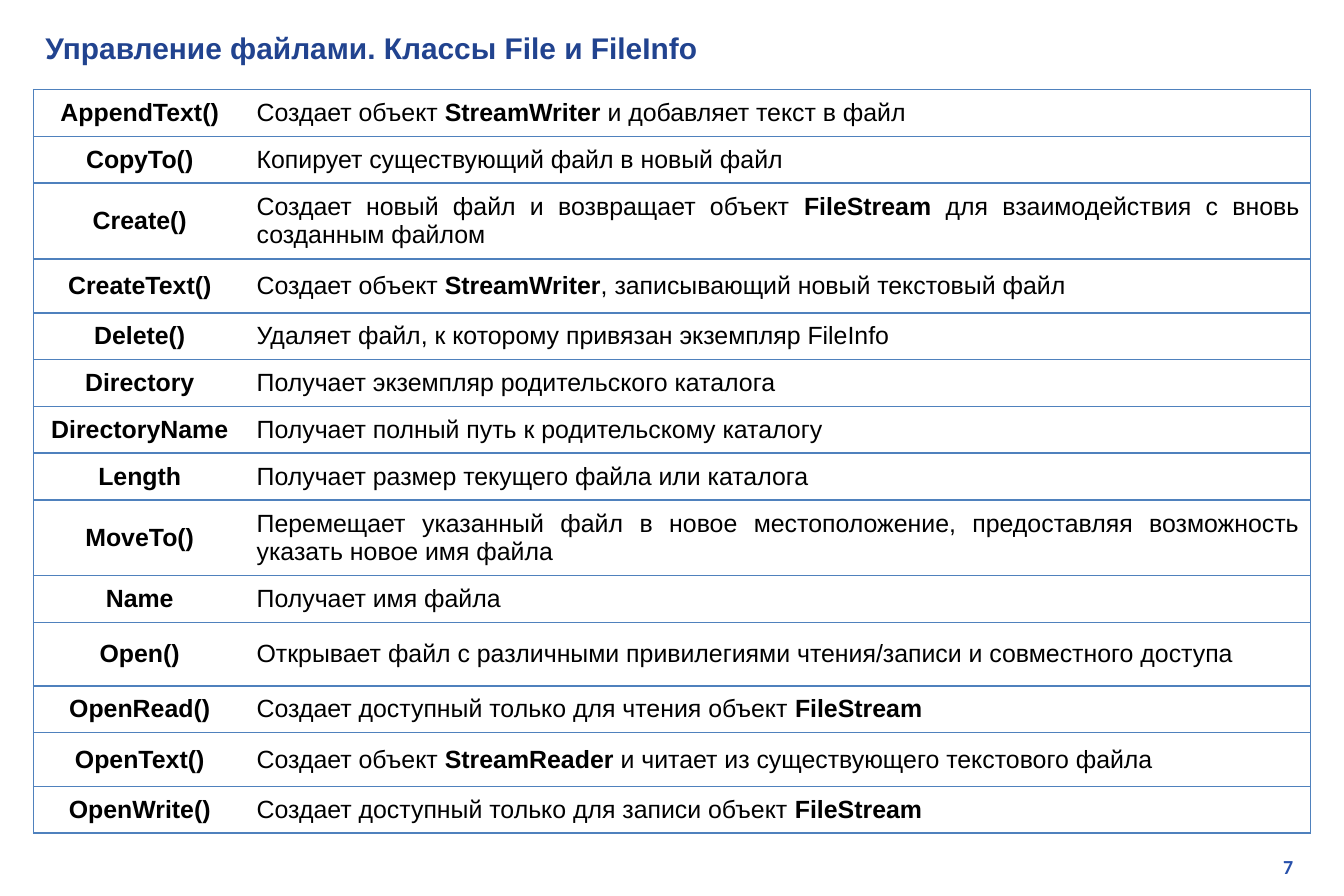
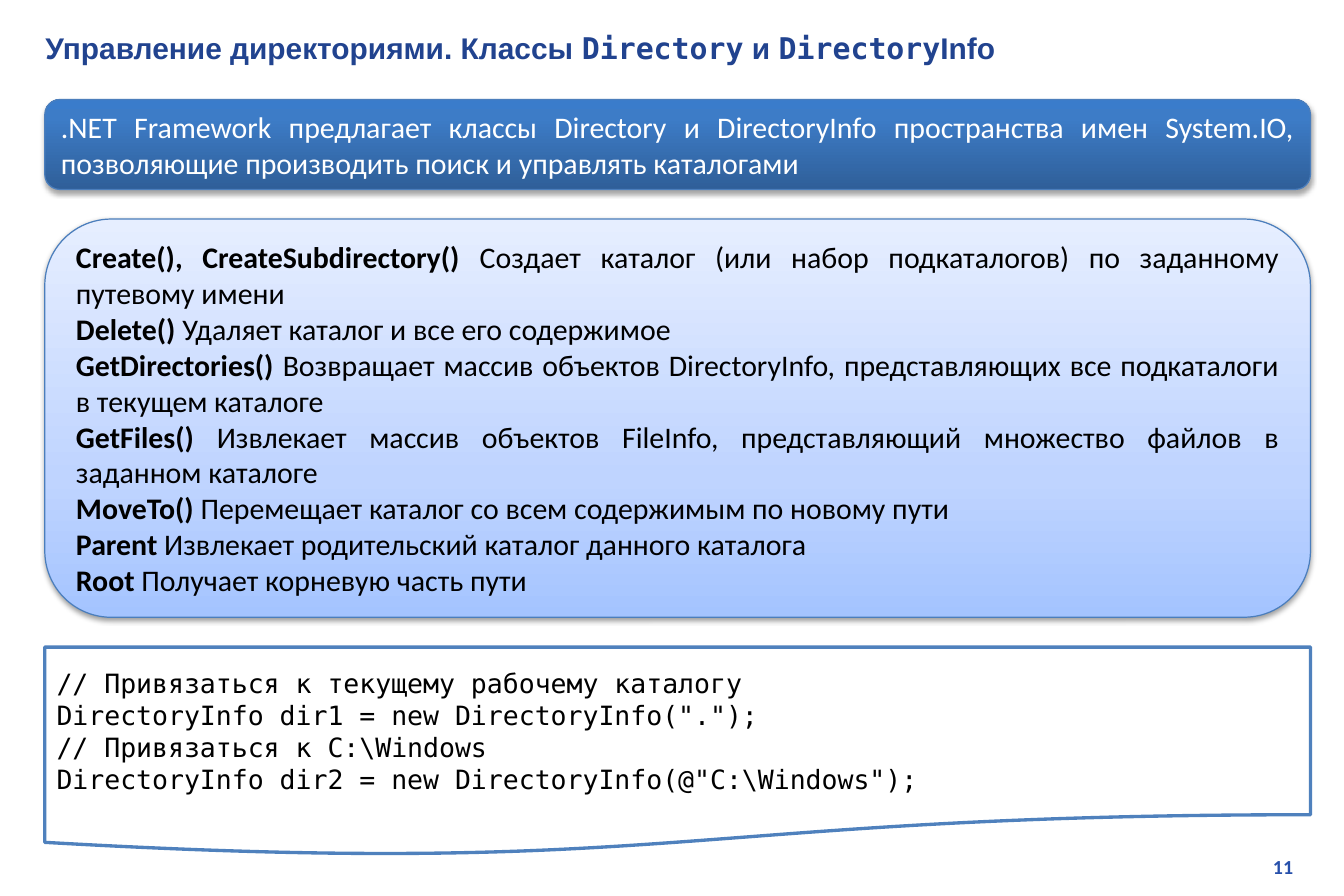
from pptx import Presentation
from pptx.dml.color import RGBColor
from pptx.enum.shapes import MSO_SHAPE
from pptx.enum.text import MSO_ANCHOR, PP_ALIGN
from pptx.oxml import parse_xml
from pptx.oxml.ns import nsdecls, qn
from pptx.util import Pt

TITLE_BLUE = RGBColor(0x21, 0x43, 0x8F)
NUMBER_BLUE = RGBColor(0x27, 0x50, 0xAB)
BORDER_BLUE = RGBColor(0x4F, 0x81, 0xBD)
EDGE_BLUE = RGBColor(0x4B, 0x7E, 0xBC)
BLACK = RGBColor(0, 0, 0)
WHITE = RGBColor(0xFF, 0xFF, 0xFF)
DARK_GRADIENT = [(0, RGBColor(0x2F, 0x5F, 0x99)), (80, RGBColor(0x3D, 0x7C, 0xC7)),
                 (100, RGBColor(0x3A, 0x7C, 0xCB))]
LIGHT_GRADIENT = [(0, RGBColor(0xA4, 0xC4, 0xFF)), (35, RGBColor(0xBF, 0xD4, 0xFF)),
                  (100, RGBColor(0xE6, 0xEE, 0xFF))]

MONO = "DejaVu Sans Mono"
TITLE_FONT = {"name": "Arial", "size": Pt(18), "bold": True, "color": TITLE_BLUE}
NUMBER_FONT = {"name": "Calibri", "size": Pt(12), "bold": True, "color": NUMBER_BLUE}
TABLE_FONT = {"name": "Arial", "size": Pt(15), "bold": False, "color": BLACK}
BANNER_FONT = {"name": "Calibri", "size": Pt(18), "bold": False, "color": WHITE}
LIST_FONT = {**BANNER_FONT, "color": BLACK}
CODE_FONT = {"name": MONO, "size": Pt(16), "bold": False, "color": BLACK}

# Boxes are left, top, width, height in points
PAGE_SIZE = (810, 540)
TITLE_BOX = (20.2, 14.4, 773.3, 28.8)
NUMBER_BOX = (615, 511.6, 171.4, 21.6)
TABLE_BOX = (20.2, 54, 769.7, 448.4)
BANNER_BOX = (27, 60, 762.8, 54.2)
LIST_BOX = (27, 132, 762.8, 240)
CODE_BOX = (27, 390, 762.8, 126)

NAME_COLUMN = 128
ROW_HEIGHT = 28.2
NO_STYLE = "{2D5ABB26-0587-4C30-8999-92F81FD0307C}"

# Name, description (bold between asterisks), row height
FILE_MEMBERS = [
    ("AppendText()", "Создает объект *StreamWriter* и добавляет текст в файл", ROW_HEIGHT),
    ("СоруТо()", "Копирует существующий файл в новый файл", ROW_HEIGHT),
    ("Create()", "Создает новый файл и возвращает объект *FileStream* для "
     "взаимодействия с вновь созданным файлом", 45.8),
    ("CreateText()", "Создает объект *StreamWriter*, записывающий новый текстовый файл", 32.4),
    ("Delete()", "Удаляет файл, к которому привязан экземпляр FileInfo", ROW_HEIGHT),
    ("Directory", "Получает экземпляр родительского каталога", ROW_HEIGHT),
    ("DirectoryName", "Получает полный путь к родительскому каталогу", ROW_HEIGHT),
    ("Length", "Получает размер текущего файла или каталога", ROW_HEIGHT),
    ("MoveTo()", "Перемещает указанный файл в новое местоположение, предоставляя "
     "возможность указать новое имя файла", 45.8),
    ("Name", "Получает имя файла", ROW_HEIGHT),
    ("Open()", "Открывает файл с различными привилегиями чтения/записи и "
     "совместного доступа", 38.2),
    ("OpenRead()", "Создает доступный только для чтения объект *FileStream*", ROW_HEIGHT),
    ("OpenText()", "Создает объект *StreamReader* и читает из существующего "
     "текстового файла", 32.4),
    ("OpenWrite()", "Создает доступный только для записи объект *FileStream*", ROW_HEIGHT),
]
BANNER_TEXT = (".NET Framework предлагает классы Directory и DirectoryInfo пространства "
               "имен System.IO, позволяющие производить поиск и управлять каталогами")
DIRECTORY_MEMBERS = [
    "*Create(), CreateSubdirectorу() *Создает каталог (или набор подкаталогов) "
    "по заданному путевому имени",
    "*Delete() *Удаляет каталог и все его содержимое",
    "*GetDirectories() *Возвращает массив объектов DirectoryInfo, представляющих "
    "все подкаталоги в текущем каталоге",
    "*GetFiles() *Извлекает массив объектов FileInfo, представляющий множество "
    "файлов в заданном каталоге",
    "*MoveTo() *Перемещает каталог со всем содержимым по новому пути",
    "*Parent *Извлекает родительский каталог данного каталога",
    "*Root *Получает корневую часть пути",
]
CODE_LINES = [
    "// Привязаться к текущему рабочему каталогу",
    'DirectoryInfo dir1 = new DirectoryInfo(".");',
    "// Привязаться к C:\\Windows",
    'DirectoryInfo dir2 = new DirectoryInfo(@"C:\\Windows");',
]


# Text helpers
def points(box):
    return [Pt(length) for length in box]


def bold_spans(text):
    return [(part, {"bold": index % 2 == 1})
            for index, part in enumerate(text.split("*")) if part]


def write(frame, paragraphs, font, align, anchor=MSO_ANCHOR.MIDDLE):
    """Fill a frame; each paragraph is a list of (text, font changes)."""
    frame.word_wrap = True
    frame.vertical_anchor = anchor
    for index, spans in enumerate(paragraphs):
        para = frame.add_paragraph() if index else frame.paragraphs[0]
        para.alignment = align
        for text, changes in spans:
            span = para.add_run()
            span.text = text
            for key, value in {**font, **changes}.items():
                if key == "color":
                    span.font.color.rgb = value
                else:
                    setattr(span.font, key, value)


# Parts shared by the slides
def add_page(deck, title, number):
    page = deck.slides.add_slide(deck.slide_layouts[5])
    heading = page.shapes.title
    heading.left, heading.top, heading.width, heading.height = points(TITLE_BOX)
    write(heading.text_frame, [title], TITLE_FONT, PP_ALIGN.LEFT)
    number_box = page.shapes.add_textbox(*points(NUMBER_BOX))
    write(number_box.text_frame, [[(number, {})]], NUMBER_FONT, PP_ALIGN.RIGHT, MSO_ANCHOR.TOP)
    return page


# Table of members
def set_borders(cell, sides):
    properties = cell._tc.get_or_add_tcPr()
    for index, side in enumerate(sides):
        properties.insert(index, parse_xml(
            f'<a:ln{side} {nsdecls("a")} w="{Pt(1)}"><a:solidFill>'
            f'<a:srgbClr val="{BORDER_BLUE}"/></a:solidFill></a:ln{side}>'))


def add_member_table(page, box, members):
    table = page.shapes.add_table(len(members), 2, *points(box)).table
    table.first_row = table.horz_banding = False
    table._tbl.tblPr.find(qn("a:tableStyleId")).text = NO_STYLE
    table.columns[0].width = Pt(NAME_COLUMN)
    table.columns[1].width = Pt(box[2] - NAME_COLUMN)
    for row, (name, description, height) in enumerate(members):
        table.rows[row].height = Pt(height)
        columns = [([(name, {"bold": True})], PP_ALIGN.CENTER, "LTB"),
                   (bold_spans(description), PP_ALIGN.JUSTIFY, "RTB")]
        for column, (spans, align, sides) in enumerate(columns):
            cell = table.cell(row, column)
            cell.margin_left = cell.margin_right = Pt(6.5)
            cell.margin_top = cell.margin_bottom = Pt(4.8)
            cell.fill.solid()
            cell.fill.fore_color.rgb = WHITE
            set_borders(cell, sides)
            write(cell.text_frame, [spans], TABLE_FONT, align)
            cell.vertical_anchor = MSO_ANCHOR.MIDDLE


# Panels
def add_panel(page, kind, box, line, paragraphs, font):
    panel = page.shapes.add_shape(kind, *points(box))
    panel.shadow.inherit = False
    panel.fill.solid()
    panel.fill.fore_color.rgb = WHITE
    panel.line.color.rgb, panel.line.width = line
    write(panel.text_frame, paragraphs, font, PP_ALIGN.JUSTIFY)
    return panel


def add_glossy_panel(page, box, gradient, shadow, paragraphs, font):
    panel = add_panel(page, MSO_SHAPE.ROUNDED_RECTANGLE, box, (EDGE_BLUE, Pt(0.75)),
                      paragraphs, font)
    properties = panel._element.spPr
    stops = "".join(f'<a:gs pos="{place * 1000}"><a:srgbClr val="{color}"/></a:gs>'
                    for place, color in gradient)
    properties.replace(properties.find(qn("a:solidFill")), parse_xml(
        f'<a:gradFill {nsdecls("a")} rotWithShape="1"><a:gsLst>{stops}</a:gsLst>'
        '<a:lin ang="16200000" scaled="0"/></a:gradFill>'))
    opacity, distance = shadow
    properties.find(qn("a:effectLst")).append(parse_xml(
        f'<a:outerShdw {nsdecls("a")} blurRad="{Pt(3.1)}" dist="{Pt(distance)}" '
        f'dir="5400000" rotWithShape="0"><a:srgbClr val="{BLACK}">'
        f'<a:alpha val="{opacity * 1000}"/></a:srgbClr></a:outerShdw>'))
    return panel


# Slides
def add_file_page(deck):
    page = add_page(deck, [("Управление файлами. Классы File и FileInfo", {})], "7")
    add_member_table(page, TABLE_BOX, FILE_MEMBERS)


def add_directory_page(deck):
    mono = {"name": MONO}
    title = [("Управление директориями. Классы ", {}), ("Directory", mono), (" и ", {}),
             ("Directory", mono), ("Info", {})]
    page = add_page(deck, title, "11")
    banner = add_glossy_panel(page, BANNER_BOX, DARK_GRADIENT, (35, 1.8),
                              [[(BANNER_TEXT, {})]], BANNER_FONT)
    banner.text_frame.paragraphs[0].space_after = Pt(10)
    add_glossy_panel(page, LIST_BOX, LIGHT_GRADIENT, (38, 1.6),
                     [bold_spans(member) for member in DIRECTORY_MEMBERS], LIST_FONT)
    add_panel(page, MSO_SHAPE.FLOWCHART_DOCUMENT, CODE_BOX, (BORDER_BLUE, Pt(2)),
              [[(line, {})] for line in CODE_LINES], CODE_FONT)


def main():
    deck = Presentation()
    deck.slide_width, deck.slide_height = points(PAGE_SIZE)
    add_file_page(deck)
    add_directory_page(deck)
    deck.save("out.pptx")


if __name__ == "__main__":
    main()
